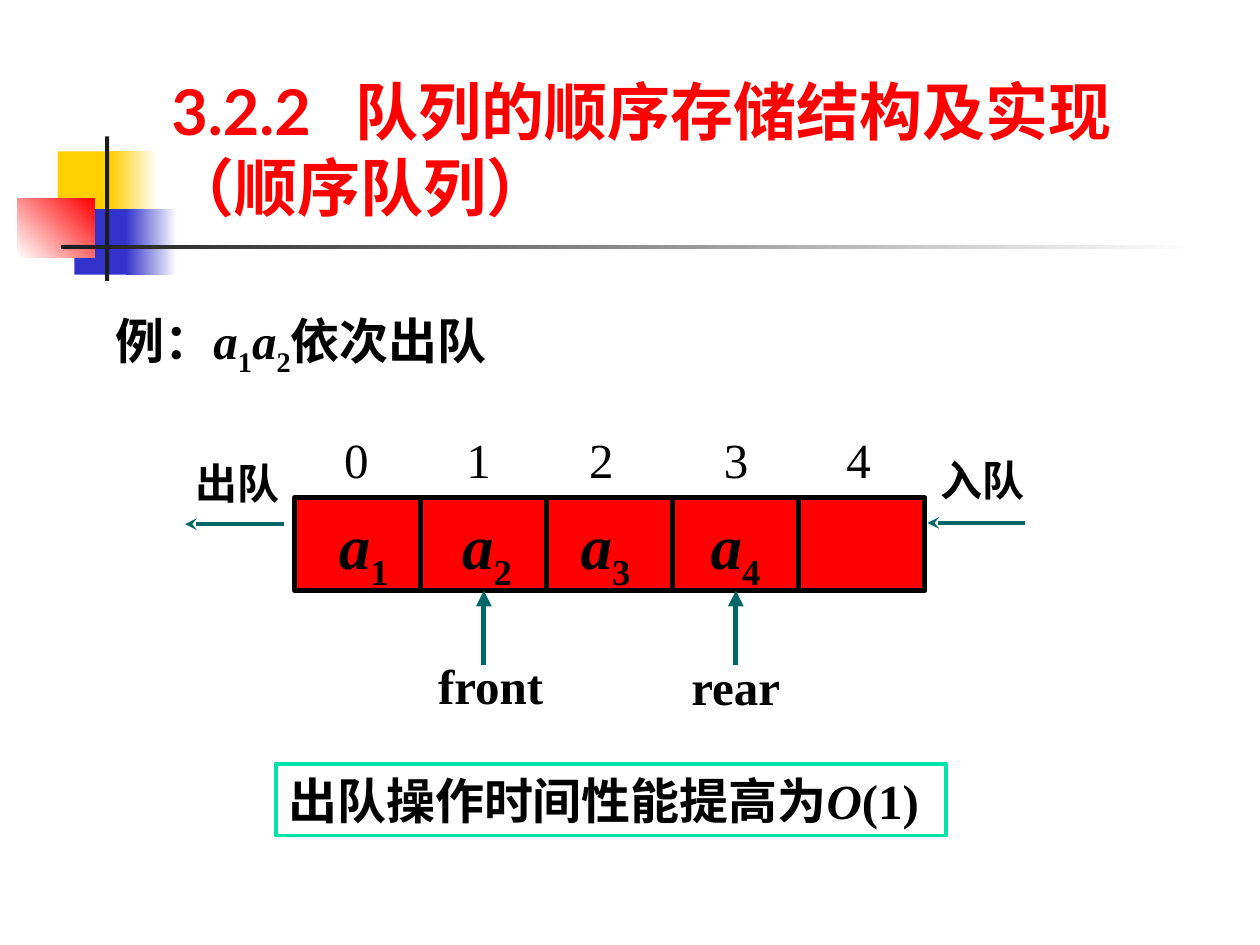
import pptx
import pptx.util
import pptx.dml.color
import pptx.enum.shapes
import pptx.enum.text
import pptx.oxml
import pptx.oxml.ns

Pt = pptx.util.Pt
RGB = pptx.dml.color.RGBColor
RECT = pptx.enum.shapes.MSO_SHAPE.RECTANGLE
LEFT = pptx.enum.text.PP_ALIGN.LEFT

BLACK = RGB(0x00, 0x00, 0x00)
WHITE = RGB(0xFF, 0xFF, 0xFF)
RED = RGB(0xFF, 0x00, 0x00)
GOLD = RGB(0xFF, 0xCF, 0x01)
BLUE = RGB(0x33, 0x33, 0xCC)
DARK = RGB(0x1C, 0x1C, 0x1C)
TEAL = RGB(0x00, 0x66, 0x66)
MINT = RGB(0x00, 0xE4, 0xA8)

NS = pptx.oxml.ns.nsdecls("a")


def write(frame, parts, stops=(), **form):
    """Fill a frame with (text, kind) parts; kind is "", "it" or "sub"."""
    para = frame.paragraphs[0]
    para.alignment = LEFT
    if stops:
        tabs = "".join(f'<a:tab pos="{Pt(stop)}" algn="l"/>' for stop in stops)
        para._p.get_or_add_pPr().append(
            pptx.oxml.parse_xml(f"<a:tabLst {NS}>{tabs}</a:tabLst>"))
    look = {"name": "Times New Roman", "size": Pt(28), "bold": True} | form
    hue = look.pop("hue", BLACK)
    for text, kind in parts:
        run = para.add_run()
        run.text = text
        for key, value in look.items():
            setattr(run.font, key, value)
        run.font.color.rgb = hue
        run.font.italic = kind == "it"
        if kind == "sub":
            run._r.get_or_add_rPr().set("baseline", "-25000")


def arrow(start, end, width, head):
    line = shapes.add_connector(
        pptx.enum.shapes.MSO_CONNECTOR.STRAIGHT, *map(Pt, start + end))
    line.line.color.rgb = TEAL
    line.line.width = Pt(width)
    line.line._get_or_add_ln().append(
        pptx.oxml.parse_xml(f'<a:tailEnd {NS} type="{head}"/>'))
    line._element.spPr.append(pptx.oxml.parse_xml(f"<a:effectLst {NS}/>"))
    return line


deck = pptx.Presentation()
deck.slide_width, deck.slide_height = Pt(720), Pt(540)
slide = deck.slides.add_slide(deck.slide_layouts[5])
shapes = slide.shapes

# Corner ornament: place, colours, gradient angle
decor = [
    ((33, 86.5, 34.5, 37.5), [GOLD], 0),
    ((63.5, 86.5, 26, 37.5), [GOLD, WHITE], 0),
    ((42.5, 119.5, 33, 37.5), [BLUE], 0),
    ((72, 119.5, 29, 37.5), [BLUE, WHITE], 0),
    ((10, 113.5, 44, 33.5), [WHITE, RED], 45),
    ((60, 78, 2.4, 82.5), [DARK], 0),
    ((34.8, 140, 648, 2.5), [DARK, WHITE], 0),
]
for place, hues, angle in decor:
    block = shapes.add_shape(RECT, *map(Pt, place))
    block.shadow.inherit = False
    block.line.fill.background()
    if len(hues) == 1:
        block.fill.solid()
        block.fill.fore_color.rgb = hues[0]
    else:
        block.fill.gradient()
        block.fill.gradient_angle = angle
        for stop, hue in zip(block.fill.gradient_stops, hues):
            stop.color.rgb = hue
            stop.position = float(hue == hues[1])

# Title
title = shapes.title
title.left, title.top, title.width, title.height = map(Pt, (90.7, 16.5, 613.5, 115.2))
title.text_frame.auto_size = pptx.enum.text.MSO_AUTO_SIZE.NONE
title.text_frame.vertical_anchor = pptx.enum.text.MSO_ANCHOR.BOTTOM
write(title.text_frame, [("3.2.2\t队列的顺序存储结构及实现（顺序队列）", "")],
      stops=[105], name="Lato", size=Pt(36), hue=RED)

# Queue cells
cells = []
for spot in range(5):
    cell = shapes.add_shape(RECT, Pt(168.5 + 72 * spot), Pt(284.5), Pt(72), Pt(53))
    cell.shadow.inherit = False
    cell.fill.solid()
    cell.fill.fore_color.rgb = RED
    cell.line.color.rgb = BLACK
    cell.line.width = Pt(3)
    cells.append(cell)

# Text: place, parts, format
plain = {"size": Pt(28)}
small = {"size": Pt(24)}
notes = [
    ((59, 174.2, 266, 45),
     [("例：", ""), ("a", "it"), ("1", "sub"), ("a", "it"), ("2", "sub"), ("依次出队", "")],
     plain),
    ((189.5, 242, 337, 41), [("0\t1\t2\t3\t4", "")],
     {"bold": False, "stops": [70, 140, 217, 287]}),
    ((530.6, 256.3, 78, 36), [("入队", "")], small),
    ((104.4, 257.8, 72, 36), [("出队", "")], small),
    ((388, 371.5, 81, 41), [("rear", "")], plain),
    ((243.3, 370.8, 81, 41), [("front", "")], plain),
]
for item, left in enumerate((186.5, 257, 324.7, 399), 1):
    notes.append(((left, 285.8, 46, 57), [("a", "it"), (str(item), "sub")],
                  {"size": Pt(36)}))
for place, parts, form in notes:
    box = shapes.add_textbox(*map(Pt, place))
    box.text_frame.word_wrap = True
    write(box.text_frame, parts, **form)

# Arrows out of and into the queue, then the two pointers
arrow((162, 299.5), (105.8, 299.5), 2.25, "stealth")
arrow((586, 298.8), (530, 298.8), 2.25, "stealth")
for spot in (1, 3):
    mid = 204.5 + 72 * spot
    arrow((mid, 380), (mid, 337.5), 3, "triangle").end_connect(cells[spot], 2)

# Conclusion
frame = shapes.add_shape(RECT, *map(Pt, (157.7, 436.5, 383, 41)))
frame.shadow.inherit = False
frame.fill.background()
frame.line.color.rgb = MINT
frame.line.width = Pt(2.25)
frame.text_frame.word_wrap = False
write(frame.text_frame, [("出队操作时间性能提高为", ""), ("O", "it"), ("(1)", "")])

deck.save("out.pptx")
